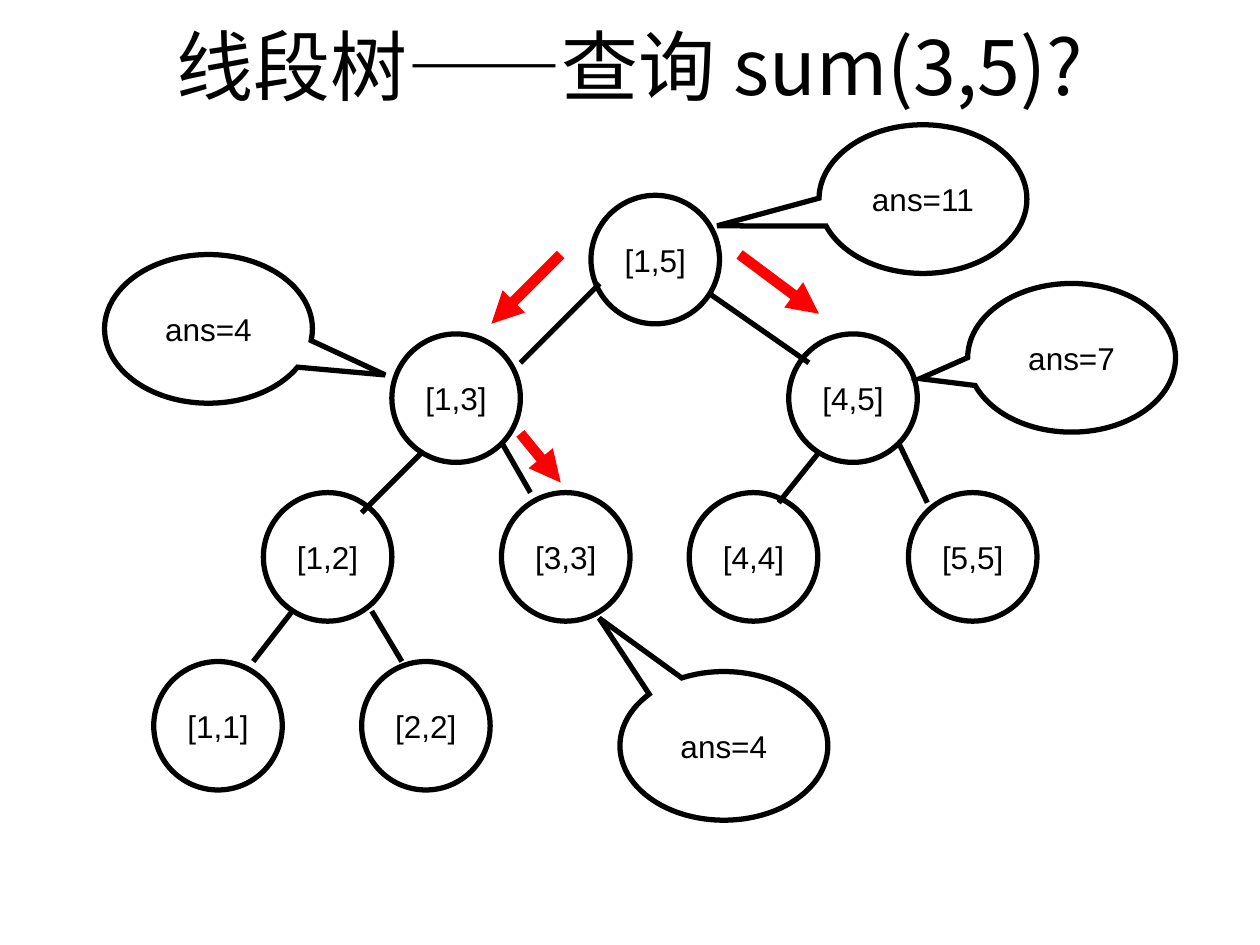
"""Draw a segment tree and the path of one range query."""
from dataclasses import dataclass

from lxml.etree import SubElement
from pptx import Presentation
from pptx.dml.color import RGBColor
from pptx.enum.shapes import MSO_CONNECTOR as Link, MSO_SHAPE as Kind
from pptx.enum.text import MSO_ANCHOR as Anchor, PP_ALIGN as Align
from pptx.oxml.ns import qn
from pptx.util import Inches, Pt

BLACK = RGBColor(0, 0, 0)
RED = RGBColor(255, 0, 0)
WIDE, HIGH = Inches(10), Inches(7.5)
COLS, ROWS = 10, 7.5
SIZE = 1.02
LEVELS = (1.55, 2.65, 3.91, 5.25)


@dataclass(frozen=True)
class Node:
    text: str
    col: float
    level: int


@dataclass(frozen=True)
class Edge:
    start: tuple[float, float]
    end: tuple[float, float]


@dataclass(frozen=True)
class Note:
    text: str
    col: float
    row: float
    tip: tuple[float, float]


NODES = (
    Node("[1,5]", 4.69, 0),
    Node("[1,3]", 3.11, 1),
    Node("[1,2]", 2.09, 2),
    Node("[3,3]", 3.98, 2),
    Node("[4,5]", 6.26, 1),
    Node("[5,5]", 7.21, 2),
    Node("[4,4]", 5.47, 2),
    Node("[2,2]", 2.87, 3),
    Node("[1,1]", 1.22, 3),
)
EDGES = (
    Edge((4.76, 2.25), (4.13, 2.88)),
    Edge((5.63, 2.33), (6.42, 2.88)),
    Edge((3.35, 3.59), (2.87, 4.07)),
    Edge((3.98, 3.51), (4.21, 3.91)),
    Edge((6.5, 3.59), (6.18, 3.99)),
    Edge((7.13, 3.51), (7.36, 3.99)),
    Edge((2.32, 4.85), (2.01, 5.25)),
    Edge((2.95, 4.85), (3.19, 5.25)),
)
STEPS = (
    Edge((4.45, 2.02), (3.9, 2.57)),
    Edge((4.13, 3.44), (4.45, 3.83)),
    Edge((5.87, 2.02), (6.5, 2.49)),
)
NOTES = (
    Note("ans=4", 4.92, 5.33, (-0.6, -0.86)),
    Note("ans=4", 0.83, 2.02, (0.85, 0.31)),
    Note("ans=7", 7.68, 2.25, (-0.73, 0.14)),
    Note("ans=11", 6.5, 0.99, (-0.99, 0.18)),
)


def across(cols: float) -> int:
    """Turn columns into a length."""
    return round(WIDE * cols / COLS)


def down(rows: float) -> int:
    """Turn rows into a length."""
    return round(HIGH * rows / ROWS)


def write(shape, text: str, *, size: float = 18, font: str = "Arial", wrap: bool = True) -> None:
    """Put centred text in a shape."""
    frame = shape.text_frame
    frame.word_wrap = wrap
    frame.vertical_anchor = Anchor.MIDDLE
    para = frame.paragraphs[0]
    para.alignment = Align.CENTER
    run = para.add_run()
    run.text = text
    run.font.size = Pt(size)
    run.font.name = font
    run.font.color.rgb = BLACK
    SubElement(run.font._element, qn("a:ea")).set("typeface", font)


def outline(slide, kind: Kind, col: float, row: float, width: float, height: float):
    """Add an unfilled shape with a black, sharp-cornered line."""
    shape = slide.shapes.add_shape(kind, across(col), down(row), across(width), down(height))
    shape.shadow.inherit = False
    shape.fill.background()
    shape.line.color.rgb = BLACK
    shape.line.width = Pt(3)
    stroke = shape._element.spPr.find(qn("a:ln"))
    SubElement(stroke, qn("a:miter")).set("lim", "800000")
    return shape


def draw_node(slide, node: Node) -> None:
    """Draw one tree node."""
    shape = outline(slide, Kind.OVAL, node.col, LEVELS[node.level], SIZE, SIZE)
    write(shape, node.text, wrap=False)


def draw_note(slide, note: Note) -> None:
    """Draw one answer balloon."""
    shape = outline(slide, Kind.OVAL_CALLOUT, note.col, note.row, 1.65, 1.18)
    for i, share in enumerate(note.tip):
        shape.adjustments[i] = share
    write(shape, note.text)


def draw_edge(slide, edge: Edge, color: RGBColor = BLACK, width: float = 3, arrow: bool = False) -> None:
    """Draw one straight line or arrow."""
    (left, top), (right, base) = edge.start, edge.end
    line = slide.shapes.add_connector(
        Link.STRAIGHT, across(left), down(top), across(right), down(base))
    line.line.color.rgb = color
    line.line.width = Pt(width)
    props = line._element.spPr
    if arrow:
        SubElement(props.find(qn("a:ln")), qn("a:tailEnd")).set("type", "triangle")
    SubElement(props, qn("a:effectLst"))


def main() -> None:
    """Build and save the slide."""
    deck = Presentation()
    deck.slide_width, deck.slide_height = WIDE, HIGH
    slide = deck.slides.add_slide(deck.slide_layouts[6])
    title = slide.shapes.add_textbox(across(0.5), down(-0.11), across(9), down(1.25))
    write(title, "线段树——查询 sum(3,5)?", size=44, font="Noto Sans CJK SC")
    for node in NODES:
        draw_node(slide, node)
    for edge in EDGES:
        draw_edge(slide, edge)
    for step in STEPS:
        draw_edge(slide, step, RED, 6, arrow=True)
    for note in NOTES:
        draw_note(slide, note)
    deck.save("out.pptx")


if __name__ == "__main__":
    main()
